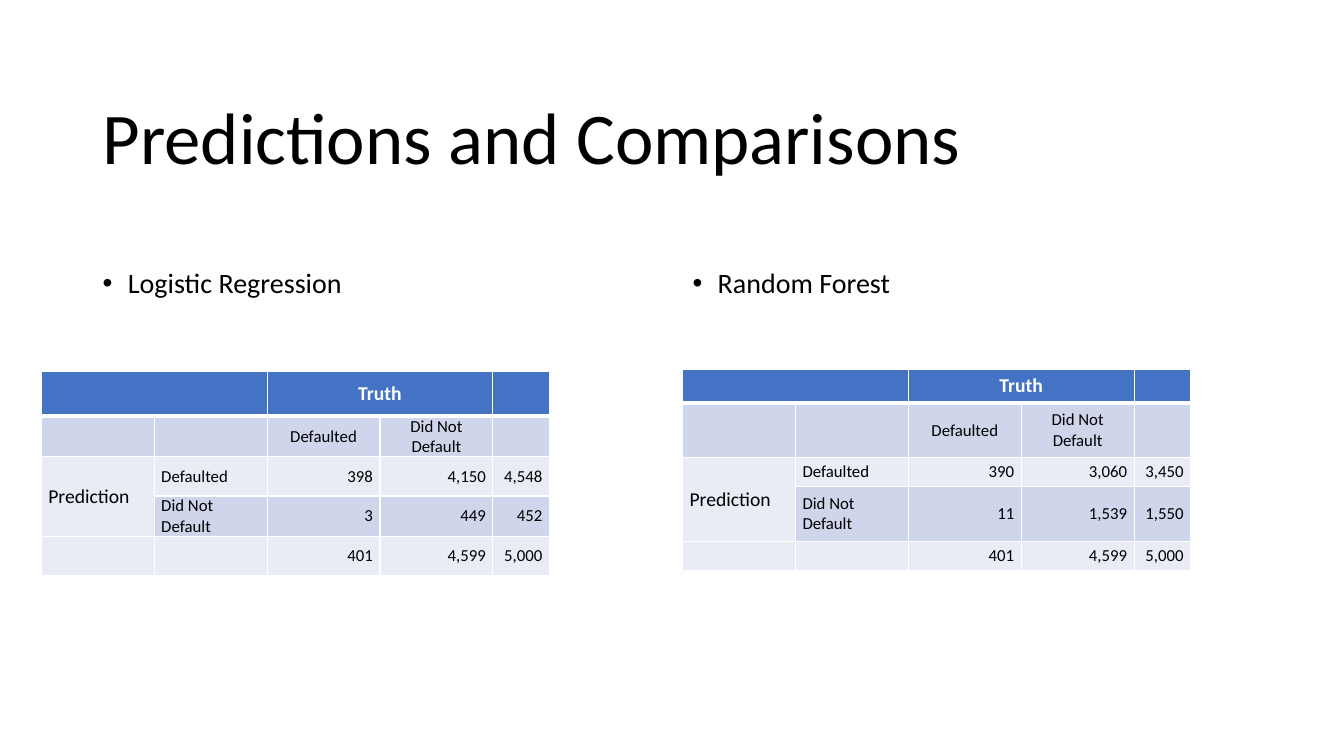
import dataclasses

import lxml.etree
import pptx
import pptx.dml.color
import pptx.enum.text
import pptx.oxml.ns
import pptx.util

Inches, Pt = pptx.util.Inches, pptx.util.Pt
ALIGN = pptx.enum.text.PP_ALIGN
MIDDLE = pptx.enum.text.MSO_ANCHOR.MIDDLE
qn = pptx.oxml.ns.qn


@dataclasses.dataclass(frozen=True)
class Theme:
    """Colours, font and type sizes of the slide."""
    font: str = "Calibri"
    ink: str = "000000"
    white: str = "FFFFFF"
    header: str = "4472C4"
    bands: tuple = ("CFD5EA", "E9EBF5")
    title: int = 52
    body: int = 20
    label: int = 14
    cell: int = 12


THEME = Theme()
COLUMNS = [1.12] * 4 + [0.56]


def rgb(color):
    """Return the colour object for a hex string."""
    return pptx.dml.color.RGBColor.from_string(color)


def add_run(p, text, size, color=THEME.ink, bold=False):
    """Add one formatted run to a paragraph."""
    r = p.add_run()
    r.text = text
    r.font.name = THEME.font
    r.font.size = Pt(size)
    r.font.bold = bold
    r.font.color.rgb = rgb(color)


def add_text(s, box, text, size, bullet=False):
    """Place a title, or a bulleted heading, in the given box."""
    tf = s.shapes.add_textbox(*map(Inches, box)).text_frame
    tf.word_wrap = True
    p = tf.paragraphs[0]
    p.line_spacing = 0.9
    if bullet:
        p.space_before = Pt(10)
        pPr = p._p.get_or_add_pPr()
        pPr.set("marL", str(Inches(0.25)))
        pPr.set("indent", str(-Inches(0.25)))
        lxml.etree.SubElement(pPr, qn("a:buFont"), typeface="Arial")
        lxml.etree.SubElement(pPr, qn("a:buChar"), char="•")
    else:
        tf.vertical_anchor = MIDDLE
    add_run(p, text, size)


def set_borders(cell, row):
    """Draw white cell borders, heavier below the header row."""
    tcPr = cell._tc.get_or_add_tcPr()
    widths = {"L": 1, "R": 1, "T": 3 if row == 1 else 1, "B": 3 if row == 0 else 1}
    for side, width in widths.items():
        ln = lxml.etree.SubElement(tcPr, qn(f"a:ln{side}"), w=str(Pt(width)))
        fill = lxml.etree.SubElement(ln, qn("a:solidFill"))
        lxml.etree.SubElement(fill, qn("a:srgbClr"), val=THEME.white)


def fill_cell(cell, text, row, col):
    """Style one cell and write its text."""
    set_borders(cell, row)
    cell.fill.solid()
    cell.fill.fore_color.rgb = rgb(THEME.bands[(row - 1) % 2] if row else THEME.header)
    cell.margin_top = cell.margin_bottom = 0
    cell.margin_left = cell.margin_right = Inches(0.07)
    cell.vertical_anchor = MIDDLE
    p = cell.text_frame.paragraphs[0]
    if not text:
        lxml.etree.SubElement(p._p, qn("a:endParaRPr"), sz=str(THEME.cell * 100))
        return
    p.space_before = p.space_after = Pt(5)
    if row < 2:
        p.alignment = ALIGN.CENTER
    else:
        p.alignment = ALIGN.LEFT if col < 2 else ALIGN.RIGHT
    size = THEME.label if row == 0 or col == 0 else THEME.cell
    add_run(p, text, size, THEME.ink if row else THEME.white, bold=row == 0)


def add_confusion_table(s, left, top, heights, counts):
    """Place a confusion matrix with its totals at the given corner."""
    rows = [
        ["", "", "Truth", "", ""],
        ["", "", "Defaulted", "Did Not Default", ""],
        ["Prediction", "Defaulted", *counts[0]],
        ["", "Did Not Default", *counts[1]],
        ["", "", *counts[2]],
    ]
    box = map(Inches, (left, top, sum(COLUMNS), sum(heights)))
    table = s.shapes.add_table(len(rows), len(COLUMNS), *box).table
    table.first_row = table.horz_banding = False
    for column, width in zip(table.columns, COLUMNS):
        column.width = Inches(width)
    for i, (height, texts) in enumerate(zip(heights, rows)):
        table.rows[i].height = Inches(height)
        for j, text in enumerate(texts):
            fill_cell(table.cell(i, j), text, i, j)
    for first, last in (((0, 0), (0, 1)), ((0, 2), (0, 3)), ((2, 0), (3, 0))):
        table.cell(*first).merge(table.cell(*last))


def main():
    """Build and save the slide."""
    prs = pptx.Presentation()
    prs.slide_width, prs.slide_height = Inches(13.33), Inches(7.5)
    s = prs.slides.add_slide(prs.slide_layouts[6])
    add_text(s, (0.92, 0.4, 11.5, 2), "Predictions and Comparisons", THEME.title)
    for left, heading in ((0.92, "Logistic Regression"), (6.77, "Random Forest")):
        add_text(s, (left, 2.62, 5.65, 4.08), heading, THEME.body, bullet=True)
    totals = ["401", "4,599", "5,000"]
    add_confusion_table(
        s, 0.41, 3.68, [0.45] + [0.39] * 4,
        [["398", "4,150", "4,548"], ["3", "449", "452"], totals])
    add_confusion_table(
        s, 6.77, 3.66, [0.34, 0.54, 0.29, 0.54, 0.29],
        [["390", "3,060", "3,450"], ["11", "1,539", "1,550"], totals])
    prs.save("out.pptx")


if __name__ == "__main__":
    main()
